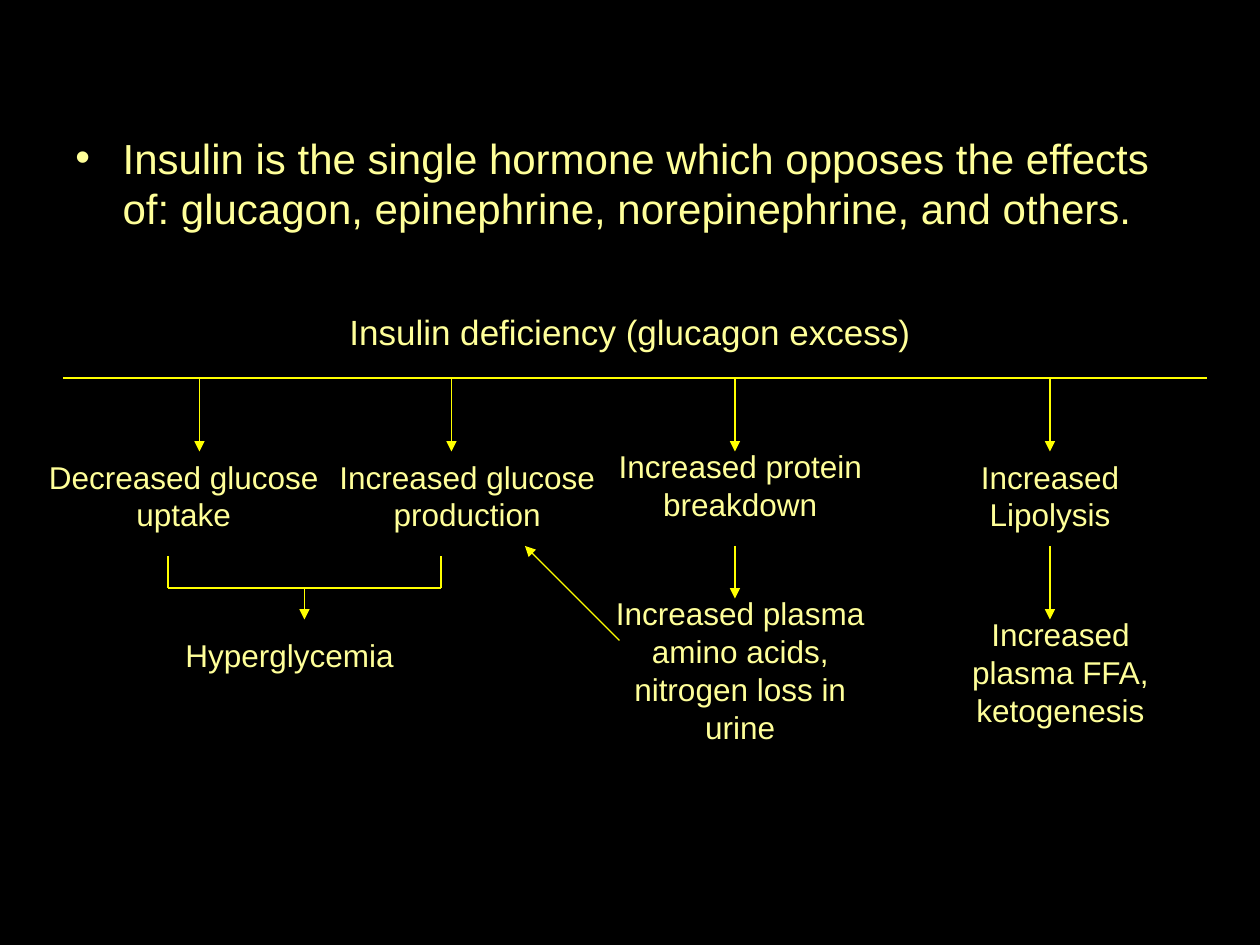
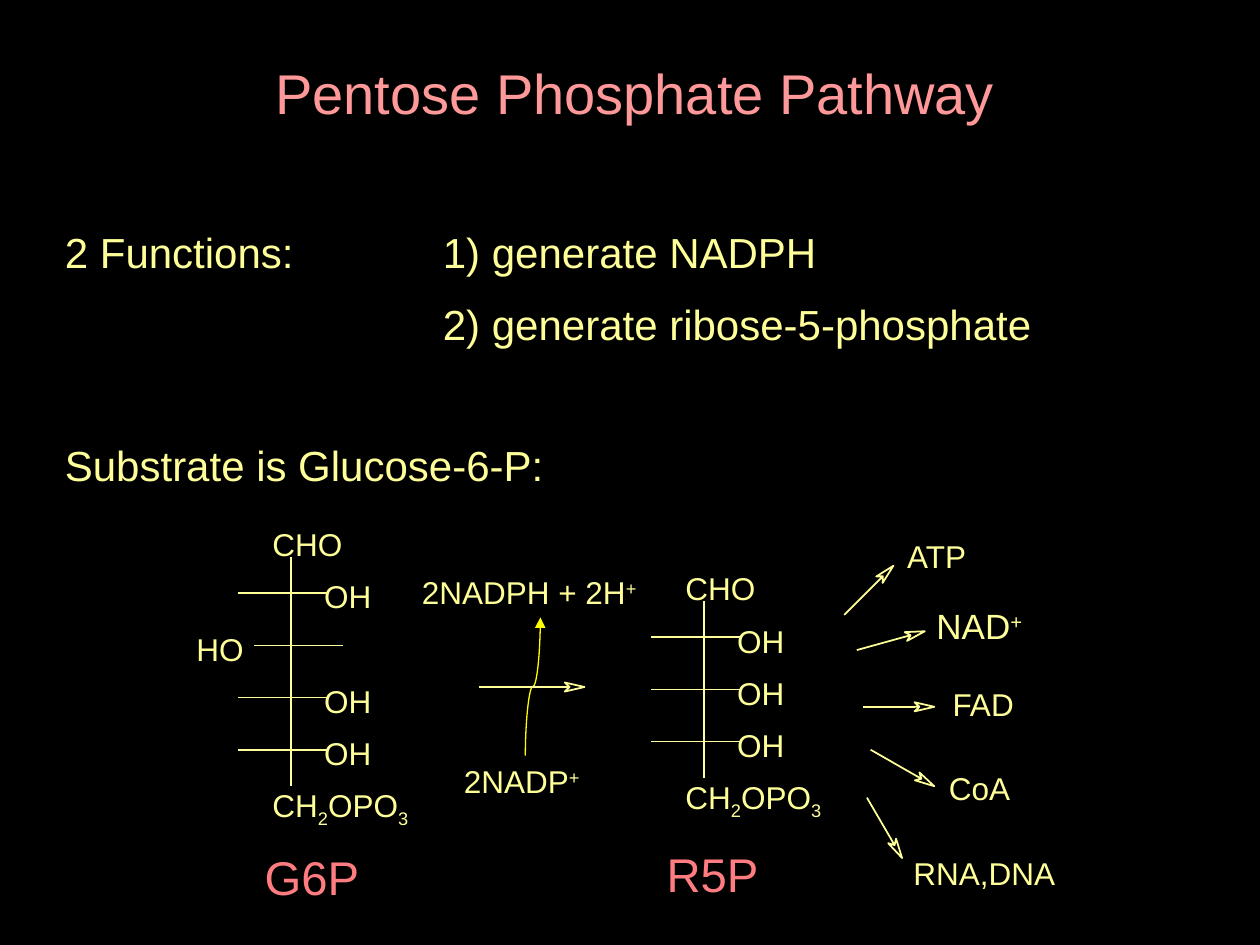
import math
from dataclasses import dataclass

from lxml import etree
from pptx import Presentation
from pptx.dml.color import RGBColor
from pptx.enum import shapes, text
from pptx.oxml import ns
from pptx.util import Pt


@dataclass(frozen=True)
class Theme:
    font: str = "Arial"
    background: RGBColor = RGBColor(0, 0, 0)
    body: RGBColor = RGBColor(0xFF, 0xFF, 0x99)
    title: RGBColor = RGBColor(0xFF, 0x99, 0x99)
    molecule_name: RGBColor = RGBColor(0xFF, 0x7C, 0x80)
    flow: RGBColor = RGBColor(0xFF, 0xFF, 0)
    title_size: float = 32
    name_size: float = 27
    body_size: float = 24
    heading_size: float = 20
    label_size: float = 18
    flow_width: float = 0.75
    bond_width: float = 1


theme = Theme()
LEFT, CENTER = text.PP_ALIGN.LEFT, text.PP_ALIGN.CENTER
STRAIGHT, CURVE = shapes.MSO_CONNECTOR.STRAIGHT, shapes.MSO_CONNECTOR.CURVE


def add_text(slide, box, value, size=theme.label_size, color=theme.body,
             align=LEFT, baseline=30, tight=False):
    shape = slide.shapes.add_textbox(*map(Pt, box))
    frame = shape.text_frame
    frame.word_wrap = not tight
    if tight:
        frame.margin_left = frame.margin_top = frame.margin_right = frame.margin_bottom = 0
    frame.text = value.replace("|", "")
    for paragraph, line in zip(frame.paragraphs, value.split("\n")):
        paragraph.alignment = align
        pieces = line.split("|")
        paragraph.runs[0].text = pieces[0]
        for piece in pieces[1:]:
            paragraph.add_run().text = piece
        for index, run in enumerate(paragraph.runs):
            run.font.name = theme.font
            run.font.size = Pt(size)
            run.font.color.rgb = color
            if index % 2:
                run.font._element.set("baseline", str(baseline * 1000))
    return shape


def add_line(slide, start, end, color=theme.flow, width=theme.flow_width,
             arrow=False, kind=STRAIGHT):
    connector = slide.shapes.add_connector(kind, *map(Pt, start + end))
    connector.line.color.rgb = color
    connector.line.width = Pt(width)
    properties = connector.element.spPr
    if arrow:
        outline = properties.find(ns.qn("a:ln"))
        etree.SubElement(outline, ns.qn("a:tailEnd"), type="triangle")
    etree.SubElement(properties, ns.qn("a:effectLst"))
    return connector


presentation = Presentation()
presentation.slide_width, presentation.slide_height = Pt(720), Pt(540)
slides = []
for _ in range(2):
    slide = presentation.slides.add_slide(presentation.slide_layouts[6])
    slide.background.fill.solid()
    slide.background.fill.fore_color.rgb = theme.background
    slides.append(slide)
insulin, pentose = slides

statement = add_text(
    insulin, (36, 72, 648, 72),
    "Insulin is the single hormone which opposes the effects of: "
    "glucagon, epinephrine, norepinephrine, and others.", theme.body_size)
bullet = statement.text_frame.paragraphs[0]._p.get_or_add_pPr()
bullet.set("marL", str(Pt(27)))
bullet.set("indent", str(Pt(-27)))
etree.SubElement(bullet, ns.qn("a:buFont"), typeface=theme.font)
etree.SubElement(bullet, ns.qn("a:buChar"), char="•")

add_text(insulin, (150, 174, 420, 31), "Insulin deficiency (glucagon excess)",
         theme.heading_size, align=CENTER)

rail_y = 216
add_line(insulin, (36, rail_y), (690, rail_y))
for x in (114, 258, 420, 600):
    add_line(insulin, (x, rail_y), (x, 258), arrow=True)
for start, end in (((354, 366), (300, 312)), ((420, 312), (420, 342)),
                   ((600, 312), (600, 354)), ((174, 336), (174, 354))):
    add_line(insulin, start, end, arrow=True)
for start, end in (((96, 318), (96, 336)), ((252, 318), (252, 336)),
                   ((96, 336), (252, 336))):
    add_line(insulin, start, end)

for box, effect in (
    ((18, 258, 174, 50), "Decreased glucose uptake"),
    ((180, 258, 174, 50), "Increased glucose production"),
    ((330, 252, 186, 51), "Increased protein breakdown"),
    ((522, 258, 156, 50), "Increased Lipolysis"),
    ((534, 348, 144, 72), "Increased plasma FFA, ketogenesis"),
    ((336, 336, 174, 94), "Increased plasma amino acids, nitrogen loss in urine"),
    ((84, 360, 168, 29), "Hyperglycemia "),
):
    add_text(insulin, box, effect, align=CENTER)

title = add_text(pentose, (126, 21.6, 474, 62.6), "Pentose Phosphate Pathway",
                 theme.title_size, theme.title, CENTER)
title.text_frame.vertical_anchor = text.MSO_ANCHOR.MIDDLE

functions = add_text(
    pentose, (30, 126, 630, 165.6),
    "2 Functions:\t1) generate NADPH\n"
    "\t2) generate ribose-5-phosphate\n"
    "Substrate is Glucose-6-P:", theme.body_size)
for paragraph, gap in zip(functions.text_frame.paragraphs, (0, 12, 52.3)):
    paragraph.space_before = Pt(gap)
    tab_stops = etree.SubElement(paragraph._p.get_or_add_pPr(), ns.qn("a:tabLst"))
    etree.SubElement(tab_stops, ns.qn("a:tab"), pos=str(Pt(216)), algn="l")

for box, value, size in (
    ((528, 342, 90, 31), "NAD|+", theme.heading_size),
    ((234, 324, 150, 29), "2NADPH + 2H|+", theme.label_size),
    ((258, 432, 84, 29), "2NADP|+", theme.label_size),
):
    add_text(pentose, box, value, size)

cofactor_arrow = add_line(pentose, (265, 388), (344, 396.6), arrow=True, kind=CURVE)
cofactor_arrow.element.spPr.find(ns.qn("a:xfrm")).set("rot", str(270 * 60000))

bond_step = 29.8
label_height = 21.6
for spine, first_bond, groups, name, name_box in (
    (166.2, 339, ("OH", "HO", "OH", "OH"), "G6P", (151.2, 484.6, 56, 32.4)),
    (402.2, 364.2, ("OH", "OH", "OH"), "R5P", (380.9, 483.1, 56, 32.4)),
):
    top = first_bond - 20.9
    bottom = first_bond + bond_step * (len(groups) - 1) + 20.9
    add_line(pentose, (spine, top), (spine, bottom), theme.body, theme.bond_width)
    for index, group in enumerate(groups):
        y = first_bond + index * bond_step
        side = 1 if group == "OH" else -1
        add_line(pentose, (spine - 30 * side, y), (spine + 20.9 * side, y),
                 theme.body, theme.bond_width)
        label_x = spine + (19 if side == 1 else -54)
        add_text(pentose, (label_x, y - 9, 29, label_height), group, tight=True)
    add_text(pentose, (spine - 10.5, top - 18, 42, label_height), "CHO", tight=True)
    add_text(pentose, (spine - 10.5, bottom, 84, label_height), "CH|2|OPO|3",
             baseline=-25, tight=True)
    add_text(pentose, name_box, name, theme.name_size, theme.molecule_name, tight=True)

head_length = 11.3
head_outline = ((0, 0), (2.8, 0), (0, -2.6), (head_length, 0), (0, 2.6), (2.8, 0))
for tail, tip in (
    ((273.6, 392.6), (334, 392.6)),
    ((482.4, 351.4), (510.5, 323.3)),
    ((489.6, 371.5), (528.5, 360.7)),
    ((493.2, 403.9), (533.9, 403.9)),
    ((497.5, 428.4), (533.9, 449.3)),
    ((495.4, 455.8), (515.5, 490.3)),
):
    angle = math.atan2(tip[1] - tail[1], tip[0] - tail[0])
    cos, sin = math.cos(angle), math.sin(angle)
    neck = (tip[0] - head_length * cos, tip[1] - head_length * sin)
    add_line(pentose, tail, neck, theme.body, theme.bond_width)
    points = [(Pt(neck[0] + x * cos - y * sin), Pt(neck[1] + x * sin + y * cos))
              for x, y in head_outline]
    builder = pentose.shapes.build_freeform(*points[0])
    builder.add_line_segments(points[1:], close=True)
    arrowhead = builder.convert_to_shape()
    arrowhead.shadow.inherit = False
    arrowhead.fill.solid()
    arrowhead.fill.fore_color.rgb = theme.background
    arrowhead.line.color.rgb = theme.body
    arrowhead.line.width = Pt(theme.bond_width)

for left, top, width, product in (
    (518.4, 306.7, 38, "ATP"),
    (544.3, 391.2, 38, "FAD"),
    (542.2, 439.6, 38, "CoA"),
    (522, 488.2, 88, "RNA,DNA"),
):
    add_text(pentose, (left, top, width, label_height), product, tight=True)

presentation.save("out.pptx")
